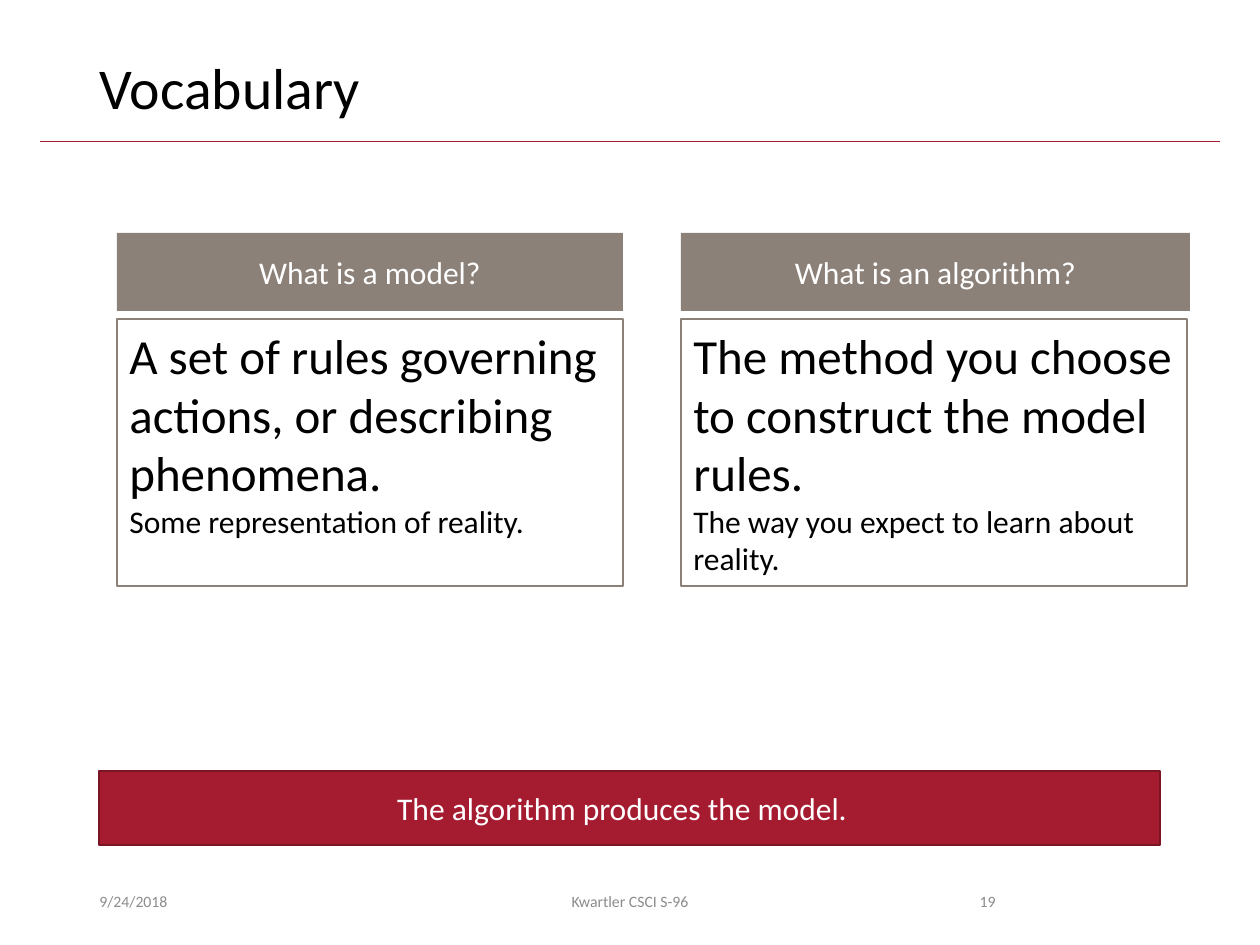
from lxml.etree import SubElement
from pptx import Presentation
from pptx.dml.color import RGBColor
from pptx.enum.shapes import MSO_CONNECTOR, MSO_SHAPE
from pptx.enum.text import MSO_ANCHOR, PP_ALIGN
from pptx.oxml.ns import qn
from pptx.util import Emu, Pt

COLORS = {"crimson": "A51C30", "crimson_dark": "7A1524", "taupe": "8C8179",
          "gray": "8C8C8C", "black": "000000", "white": "FFFFFF"}


def px(n):
    return Emu(round(n * 914400 / 126))


def write(sp, lines, color, align, anchor=MSO_ANCHOR.MIDDLE):
    tf = sp.text_frame
    tf.word_wrap = True
    tf.vertical_anchor = anchor
    tf.text = "\n".join(text for text, size in lines)
    for p, (text, size) in zip(tf.paragraphs, lines):
        p.alignment = align
        for r in p.runs:
            r.font.name = "Calibri"
            r.font.size = Pt(size)
            r.font.color.rgb = RGBColor.from_string(COLORS[color])


prs = Presentation()
prs.slide_width, prs.slide_height = px(1260), px(945)
s = prs.slides.add_slide(prs.slide_layouts[5])

rule = s.shapes.add_connector(MSO_CONNECTOR.STRAIGHT, px(40), px(141), px(1220), px(141))
rule.line.color.rgb = RGBColor.from_string(COLORS["crimson"])
rule.line.width = Pt(0.5)
SubElement(rule._element.spPr, qn("a:effectLst"))

title = s.shapes.title
title.left, title.top, title.width, title.height = px(87), px(50), px(1086), px(82)
write(title, [("Vocabulary", 33)], "black", PP_ALIGN.LEFT)
title.text_frame.paragraphs[0].line_spacing = 0.9

footers = [
    (87, 284, "9/24/2018", PP_ALIGN.LEFT),
    (417, 426, "Kwartler CSCI S-96", PP_ALIGN.CENTER),
    (890, 118, "19", PP_ALIGN.RIGHT),
]
for left, width, text, align in footers:
    sp = s.shapes.add_textbox(px(left), px(876), px(width), px(50))
    write(sp, [(text, 9)], "gray", align)

columns = [
    (117, 506, "What is a model?",
     "A set of rules governing actions, or describing phenomena.",
     "Some representation of reality."),
    (681, 509, "What is an algorithm?",
     "The method you choose to construct the model rules.",
     "The way you expect to learn about reality."),
]
for left, width, heading, definition, detail in columns:
    sp = s.shapes.add_shape(MSO_SHAPE.RECTANGLE, px(left), px(233), px(width), px(78))
    sp.shadow.inherit = False
    sp.fill.solid()
    sp.fill.fore_color.rgb = RGBColor.from_string(COLORS["taupe"])
    sp.line.fill.background()
    write(sp, [(heading, 18)], "white", PP_ALIGN.CENTER)

    sp = s.shapes.add_shape(MSO_SHAPE.RECTANGLE, px(left), px(319), px(506), px(267))
    sp.shadow.inherit = False
    sp.fill.background()
    sp.line.color.rgb = RGBColor.from_string(COLORS["taupe"])
    sp.line.width = Pt(0.75)
    write(sp, [(definition, 28), (detail, 18)], "black", PP_ALIGN.LEFT, MSO_ANCHOR.TOP)

sp = s.shapes.add_shape(MSO_SHAPE.RECTANGLE, px(99), px(771), px(1061), px(74))
sp.shadow.inherit = False
sp.fill.solid()
sp.fill.fore_color.rgb = RGBColor.from_string(COLORS["crimson"])
sp.line.color.rgb = RGBColor.from_string(COLORS["crimson_dark"])
sp.line.width = Pt(1)
write(sp, [("The algorithm produces the model.", 18)], "white", PP_ALIGN.CENTER)
sp.text_frame.margin_right = px(27)

prs.save("out.pptx")
